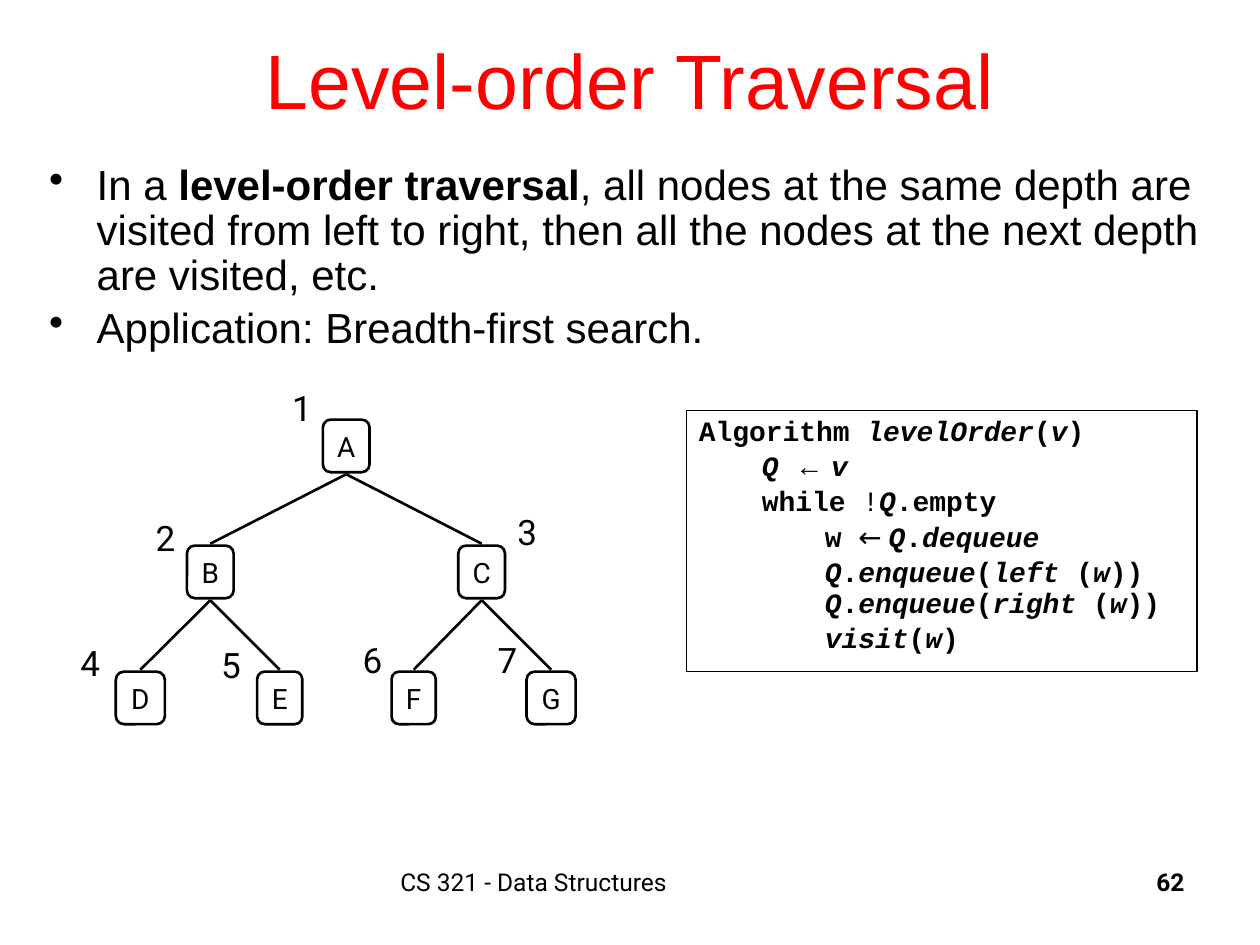
from dataclasses import dataclass

from lxml import etree
from pptx import Presentation
from pptx.dml.color import RGBColor
from pptx.enum.shapes import MSO_CONNECTOR, MSO_SHAPE
from pptx.enum.text import MSO_ANCHOR, PP_ALIGN
from pptx.oxml.ns import qn
from pptx.util import Cm, Pt

LEFT, CENTER, RIGHT = PP_ALIGN.LEFT, PP_ALIGN.CENTER, PP_ALIGN.RIGHT
TOP, MIDDLE = MSO_ANCHOR.TOP, MSO_ANCHOR.MIDDLE
RECT, ROUND_RECT = MSO_SHAPE.RECTANGLE, MSO_SHAPE.ROUNDED_RECTANGLE
STRAIGHT = MSO_CONNECTOR.STRAIGHT


@dataclass(frozen=True)
class Theme:
    """Colours, fonts and type sizes of the slide."""
    ink: RGBColor = RGBColor(0, 0, 0)
    accent: RGBColor = RGBColor(255, 0, 0)
    main: str = "Arial"
    label: str = "Roboto"
    code: str = "Courier New"
    title_size: int = 44
    body_size: int = 24
    number_size: int = 20
    node_size: int = 16
    code_size: int = 16
    footer_size: int = 14


T = Theme()

BULLETS = [
    "In a *level-order traversal*, all nodes at the same depth are visited "
    "from left to right, then all the nodes at the next depth are visited, etc.",
    "Application: Breadth-first search.",
]

CODE = [
    (0, "Algorithm *levelOrder*(*v*)", T.code),
    (1, "*Q *_← _*v*", T.main),
    (1, "while _!_*Q*.empty", T.code),
    (1, "\tw _← _*Q*.*dequeue*", T.label),
    (2, "*Q*.*enqueue*(*left *(*w*)) *Q*.*enqueue*(*right *(*w*))", T.code),
    (2, "*visit*(*w*)", T.code),
]

NODES = {
    "A": (0, 5.61, 0.94, None, "1", 4.27, 0),
    "B": (1, 2.87, 0.94, "A", "2", 1.52, 2.62),
    "C": (1, 8.34, 0.94, "A", "3", 8.81, 2.49),
    "D": (2, 1.46, 0.99, "B", "4", 0, 5.13),
    "E": (2, 4.27, 0.91, "B", "5", 2.84, 5.18),
    "F": (2, 6.97, 0.89, "C", "6", 5.69, 5.08),
    "G": (2, 9.74, 0.99, "C", "7", 8.41, 5.08),
}
NODE_TOP, NODE_HEIGHT, LEVEL_STEP, EDGE_GAP = 0.79, 1.06, 2.54, 0.04


def style(p, name, size, color=T.ink, bold=None, align=LEFT):
    """Set the alignment and common font of a paragraph."""
    p.alignment = align
    f = p.font
    f.name, f.size, f.bold = name, Pt(size), bold
    f.color.rgb = color


def text_box(s, box, wrap=True, anchor=TOP):
    """Add a text box and return its text frame."""
    tf = s.shapes.add_textbox(*map(Cm, box)).text_frame
    tf.word_wrap, tf.vertical_anchor = wrap, anchor
    return tf


def label(s, box, text, name, size, wrap=True, anchor=TOP, **kw):
    """Add a one-paragraph text box."""
    p = text_box(s, box, wrap, anchor).paragraphs[0]
    p.add_run().text = text
    style(p, name, size, **kw)


def outlined(s, kind, box, width):
    """Add an unfilled shape with a plain outline."""
    sp = s.shapes.add_shape(kind, *map(Cm, box))
    sp.shadow.inherit = False
    sp.fill.background()
    sp.line.color.rgb, sp.line.width = T.ink, Pt(width)
    return sp


def paragraph(tf, i, space, indent, hanging=0):
    """Return paragraph i with tight line spacing and the given indent."""
    p = tf.add_paragraph() if i else tf.paragraphs[0]
    p.line_spacing = 0.9
    p.space_before = Pt(space if i else 0)
    pPr = p._p.get_or_add_pPr()
    pPr.set("marL", str(Cm(indent)))
    pPr.set("indent", str(-Cm(hanging)))
    return p


def bullet_list(s, box):
    """Place the bulleted body text in the box."""
    tf = text_box(s, box)
    for i, line in enumerate(BULLETS):
        p = paragraph(tf, i, 4, 0.96, 0.96)
        etree.SubElement(p._p.pPr, qn("a:buChar")).set("char", "•")
        style(p, T.main, T.body_size)
        for j, text in enumerate(line.split("*")):
            r = p.add_run()
            r.text = text
            r.font.bold = j % 2 == 1


def code_box(s, box):
    """Place the algorithm in a framed box; * marks italic and _ marks plain."""
    tf = outlined(s, RECT, box, 0.75).text_frame
    tf.word_wrap, tf.vertical_anchor = True, TOP
    for i, (level, line, plain_font) in enumerate(CODE):
        p = paragraph(tf, i, 3, 1.27 * level)
        p.level = level
        style(p, T.code, T.code_size)
        for j, chunk in enumerate(line.split("_")):
            for k, text in enumerate(chunk.split("*")):
                if text:
                    r = p.add_run()
                    r.text = text
                    r.font.name = plain_font if j % 2 else T.code
                    r.font.bold = j % 2 == 0
                    r.font.italic = k % 2 == 1


def edge(s, start, end):
    """Draw a tree edge between two points."""
    line = s.shapes.add_connector(STRAIGHT, *map(Cm, start + end))
    line.line.color.rgb, line.line.width = T.ink, Pt(1.5)
    etree.SubElement(line._element.spPr, qn("a:effectLst"))


def tree(s, left, top):
    """Place the binary tree and its visiting order from the given corner."""
    for name, (level, x, width, parent, order, dx, dy) in NODES.items():
        y = top + NODE_TOP + level * LEVEL_STEP
        box = (left + x - width / 2, y, width, NODE_HEIGHT)
        sp = outlined(s, ROUND_RECT, box, 1.5)
        tf = sp.text_frame
        tf.word_wrap, tf.vertical_anchor = False, MIDDLE
        p = tf.paragraphs[0]
        p.add_run().text = name
        style(p, T.label, T.node_size, align=CENTER)
        if parent:
            bottom = y - LEVEL_STEP + NODE_HEIGHT
            edge(s, (left + NODES[parent][1], bottom + EDGE_GAP),
                 (left + x, y - EDGE_GAP))
        label(s, (left + dx, top + dy, 0.99, 1.17), order,
              T.label, T.number_size, wrap=False)


def footer(s, top):
    """Place the course name and the slide number."""
    label(s, (7.82, top, 9.73, 1.27), "CS 321 - Data Structures",
          T.label, T.footer_size)
    label(s, (18.85, top, 5.28, 1.27), "62", T.label, T.footer_size,
          bold=True, align=RIGHT)


def main():
    """Build and save the slide."""
    prs = Presentation()
    prs.slide_width, prs.slide_height = Cm(25.4), Cm(19.05)
    s = prs.slides.add_slide(prs.slide_layouts[6])
    footer(s, 17.35)
    label(s, (1.9, 0, 21.6, 3.18), "Level-order Traversal", T.main,
          T.title_size, anchor=MIDDLE, color=T.accent, align=CENTER)
    bullet_list(s, (0.74, 3.18, 23.95, 3.94))
    code_box(s, (13.84, 8.28, 10.29, 5.26))
    tree(s, 1.37, 7.67)
    prs.save("out.pptx")


if __name__ == "__main__":
    main()
